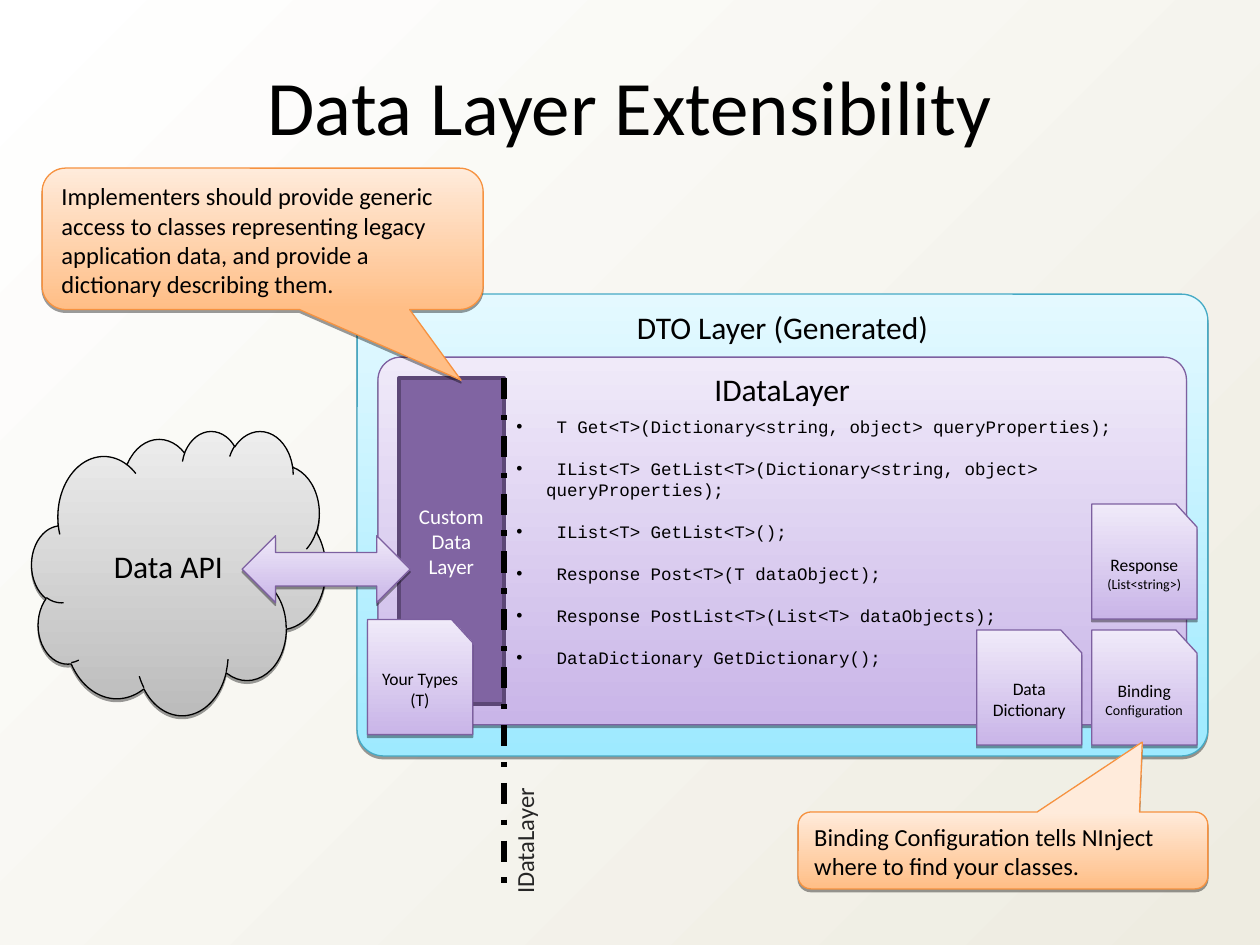
from dataclasses import dataclass

from lxml.etree import SubElement
from pptx import Presentation
from pptx.dml.color import RGBColor
from pptx.enum.dml import MSO_LINE
from pptx.enum.shapes import MSO_CONNECTOR, MSO_SHAPE
from pptx.enum.text import MSO_ANCHOR, PP_ALIGN
from pptx.oxml.ns import qn
from pptx.util import Cm, Pt


@dataclass(frozen=True)
class Theme:
    sans: str = "Calibri"
    mono: str = "Courier New"
    black: str = "000000"
    white: str = "FFFFFF"
    label: str = "262626"
    paper: tuple = ("FFFFFF", "EEECE1")
    # Each style: bottom colour, top colour, outline
    cyan: tuple = ("9EEAFF", "E4F9FF", "46AAC5")
    grey: tuple = ("BCBCBC", "EDEDED", "000000")
    lilac: tuple = ("C9B5E8", "F0EAF9", "7D60A0")
    orange: tuple = ("FFBE86", "FFEBDB", "F69240")
    purple: str = "8064A2"
    purple_edge: str = "5C4776"
    title: int = 44
    heading: int = 18
    note: int = 14
    body: int = 12
    small: int = 10
    tiny: int = 8


T = Theme()

METHODS = [
    "T Get<T>(Dictionary<string, object> queryProperties);",
    "IList<T> GetList<T>(Dictionary<string, object> queryProperties);",
    "IList<T> GetList<T>();",
    "Response Post<T>(T dataObject);",
    "Response PostList<T>(List<T> dataObjects);",
    "DataDictionary GetDictionary();",
]

# Left and top inside the DTO layer, then lines with their sizes
CARDS = [
    (14.81, 4.23, [("Response", T.small), ("(List<string>)", T.tiny)]),
    (0.21, 6.56, [("Your Types (T)", T.small)]),
    (12.49, 6.77, [("Data", T.small), ("Dictionary", T.small)]),
    (14.81, 6.77, [("Binding", T.small), ("Configuration", T.tiny)]),
]


def rgb(value):
    return RGBColor.from_string(value)


def set_gradient(fill, colors, angle):
    fill.gradient()
    fill.gradient_angle = angle
    for stop, color in zip(fill.gradient_stops, colors):
        stop.color.rgb = rgb(color)


def write(s, lines, color=T.black, font=T.sans, align=PP_ALIGN.CENTER,
          anchor=MSO_ANCHOR.TOP):
    """Fill a shape with one paragraph per (text, size) pair."""
    tf = s.text_frame
    tf.word_wrap = True
    tf.vertical_anchor = anchor
    tf.text = "\n".join(text for text, _ in lines)
    for p, (_, size) in zip(tf.paragraphs, lines):
        p.alignment = align
        f = p.runs[0].font
        f.name, f.size, f.color.rgb = font, Pt(size), rgb(color)
    return tf


def add_panel(s, kind, box, style, adjustments=()):
    """Add a preset shape with a vertical gradient and a soft drop shadow."""
    sp = s.shapes.add_shape(kind, *map(Cm, box))
    for i, value in enumerate(adjustments):
        sp.adjustments[i] = value
    set_gradient(sp.fill, style[:2], 90)
    sp.line.color.rgb = rgb(style[2])
    sp.line.width = Pt(0.75)
    sp.shadow.inherit = False
    effects = sp._element.spPr.find(qn("a:effectLst"))
    shadow = SubElement(effects, qn("a:outerShdw"), blurRad="0",
                        dist=str(Pt(1.6)), dir="5400000", rotWithShape="0")
    color = SubElement(shadow, qn("a:srgbClr"), val=T.black)
    SubElement(color, qn("a:alpha"), val="38000")
    return sp


def add_title(s, box):
    sp = s.shapes.title
    sp.left, sp.top, sp.width, sp.height = map(Cm, box)
    write(sp, [("Data Layer Extensibility", T.title)])


def add_api_cloud(s, box):
    sp = add_panel(s, MSO_SHAPE.CLOUD, box, T.grey)
    write(sp, [("Data API", T.heading)], anchor=MSO_ANCHOR.MIDDLE)


def add_custom_layer(s, box):
    sp = s.shapes.add_shape(MSO_SHAPE.RECTANGLE, *map(Cm, box))
    sp.shadow.inherit = False
    sp.fill.solid()
    sp.fill.fore_color.rgb = rgb(T.purple)
    sp.line.color.rgb = rgb(T.purple_edge)
    sp.line.width = Pt(2)
    write(sp, [("Custom", T.body), ("Data Layer", T.body)], T.white,
          anchor=MSO_ANCHOR.MIDDLE)


def add_boundary(s, x, y, length):
    """Draw the dashed interface line with its upright label at the foot."""
    w, h = 3.02, 0.86
    sp = s.shapes.add_textbox(Cm(x - 1.09), Cm(y + 8.71), Cm(w), Cm(h))
    sp.rotation = 270
    write(sp, [("IDataLayer", T.note)], T.label, align=PP_ALIGN.LEFT)
    line = s.shapes.add_connector(MSO_CONNECTOR.STRAIGHT, Cm(x), Cm(y),
                                  Cm(x), Cm(y + length))
    line.line.color.rgb = rgb(T.black)
    line.line.width = Pt(3)
    line.line.dash_style = MSO_LINE.DASH_DOT
    SubElement(line._element.spPr, qn("a:effectLst"))


def add_methods(s, box):
    sp = s.shapes.add_textbox(*map(Cm, box))
    tf = write(sp, [(" " + m, T.small) for m in METHODS], font=T.mono,
               align=PP_ALIGN.LEFT)
    indent = Cm(0.6)
    for p in tf.paragraphs:
        p.line_spacing = Pt(12)
        p.space_after = Pt(12)
        pPr = p._p.get_or_add_pPr()
        pPr.set("marL", str(indent))
        pPr.set("indent", str(-indent))
        SubElement(pPr, qn("a:buFont"), typeface="Arial")
        SubElement(pPr, qn("a:buChar"), char="•")


def add_card(s, x, y, lines):
    sp = add_panel(s, MSO_SHAPE.FLOWCHART_CARD, (x, y, 2.12, 2.32), T.lilac)
    sp._element.spPr.find(qn("a:xfrm")).set("flipH", "1")
    write(sp, lines, anchor=MSO_ANCHOR.MIDDLE)


def add_dto_layer(s, box):
    x, y, w, h = box
    sp = add_panel(s, MSO_SHAPE.ROUNDED_RECTANGLE, box, T.cyan, [0.057])
    write(sp, [("DTO Layer (Generated)", T.heading)])

    ix, iy = x + 0.42, y + 1.27
    sp = add_panel(s, MSO_SHAPE.ROUNDED_RECTANGLE,
                   (ix, iy, w - 0.85, h - 1.9), T.lilac, [0.062])
    write(sp, [("IDataLayer", T.heading)])

    add_custom_layer(s, (ix + 0.42, iy + 0.42, 2.12, 6.57))
    add_boundary(s, ix + 2.54, iy + 0.42, 10.37)
    add_panel(s, MSO_SHAPE.LEFT_RIGHT_ARROW,
              (x - 2.32, y + 4.87, 3.39, 1.35), T.lilac)
    add_methods(s, (ix + 2.54, iy + 1.06, 13.97, 5.36))
    for dx, dy, lines in CARDS:
        add_card(s, x + dx, y + dy, lines)


def add_callout(s, box, pointer, text):
    sp = add_panel(s, MSO_SHAPE.ROUNDED_RECTANGULAR_CALLOUT, box, T.orange,
                   (*pointer, 0.167))
    write(sp, [(text, T.note)], align=PP_ALIGN.LEFT)


def main():
    prs = Presentation()
    prs.slide_width, prs.slide_height = Cm(25.4), Cm(19.05)
    s = prs.slides.add_slide(prs.slide_layouts[5])
    set_gradient(s.background.fill, T.paper, 315)
    add_title(s, (0.42, 1.06, 24.55, 2.13))
    add_api_cloud(s, (0.64, 8.68, 5.93, 5.73))
    add_dto_layer(s, (7.2, 5.93, 17.15, 9.31))
    add_callout(s, (0.85, 3.39, 8.89, 2.85), (0.45, 1),
                "Implementers should provide generic access to classes "
                "representing legacy application data, and provide a "
                "dictionary describing them.")
    add_callout(s, (16.09, 16.37, 8.26, 1.55), (0.34, -1.41),
                "Binding Configuration tells NInject where to find your "
                "classes.")
    prs.save("out.pptx")


if __name__ == "__main__":
    main()
